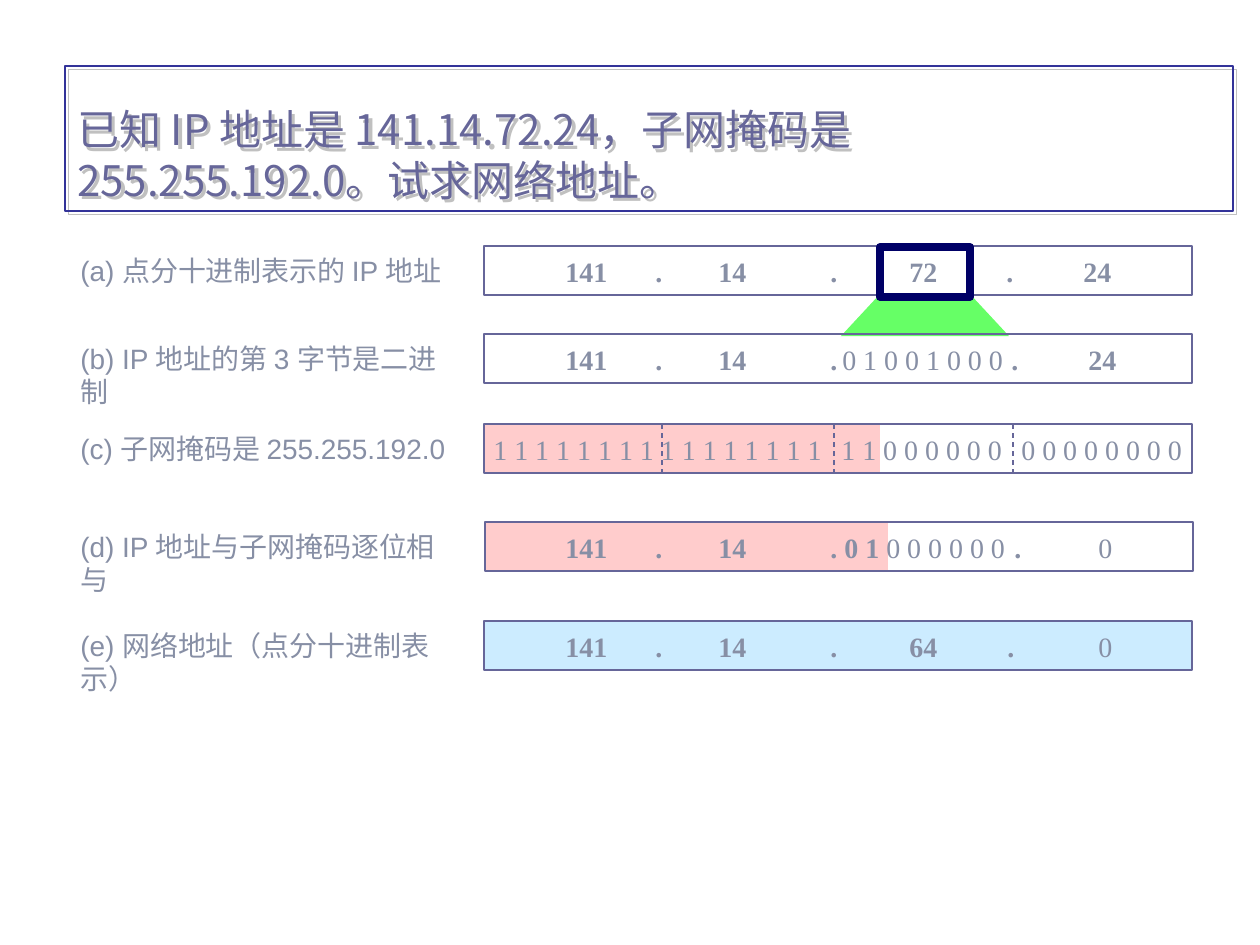
import pptx
import pptx.util
import pptx.dml.color
import pptx.enum.dml
import pptx.enum.shapes
import pptx.enum.text
import pptx.oxml
import pptx.oxml.ns

PX = 914400 // 126
COLORS = {
    "title": "666699", "frame": "333399", "shadow": "C0C0C0", "text": "878FA5",
    "row": "666699", "focus": "000066", "mask": "FFCCCC", "network": "CCECFF",
    "beam": "66FF66",
}
FONTS = {"title": "Noto Sans CJK SC", "label": "Arial", "digits": "Times New Roman"}
ANCHOR = pptx.enum.text.MSO_ANCHOR


class Deck:
    """Holds the style and the current slide and draws each kind of element."""

    def __init__(self, prs):
        self.s = prs.slides.add_slide(prs.slide_layouts[6])

    def color(self, name):
        return pptx.dml.color.RGBColor.from_string(COLORS[name])

    def element(self, parent, tag, **attrs):
        el = pptx.oxml.ns.qn(tag)
        child = parent.makeelement(el, {k: str(v) for k, v in attrs.items()})
        parent.append(child)
        return child

    def paint(self, sp, fill=None, line=None, weight=0.75):
        sp.shadow.inherit = False
        if fill:
            sp.fill.solid()
            sp.fill.fore_color.rgb = self.color(fill)
        else:
            sp.fill.background()
        if line:
            sp.line.color.rgb = self.color(line)
            sp.line.width = pptx.util.Pt(weight)
        else:
            sp.line.fill.background()
        return sp

    def rect(self, x, y, w, h, **style):
        kind = pptx.enum.shapes.MSO_SHAPE.RECTANGLE
        sp = self.s.shapes.add_shape(kind, x * PX, y * PX, w * PX, h * PX)
        return self.paint(sp, **style)

    def polygon(self, points, **style):
        fb = self.s.shapes.build_freeform(*points[0], scale=PX)
        fb.add_line_segments(points[1:], close=True)
        return self.paint(fb.convert_to_shape(), **style)

    def dash(self, x, y, h):
        kind = pptx.enum.shapes.MSO_CONNECTOR.STRAIGHT
        sp = self.s.shapes.add_connector(kind, x * PX, y * PX, x * PX, (y + h) * PX)
        sp.line.color.rgb = self.color("row")
        sp.line.width = pptx.util.Pt(0.75)
        sp.line.dash_style = pptx.enum.dml.MSO_LINE.DASH
        self.element(sp._element.spPr, "a:effectLst")

    def fill_text(self, sp, runs, font, size=16, color="text", wrap=False,
                  anchor=ANCHOR.TOP, tabs=()):
        tf = sp.text_frame
        tf.word_wrap = wrap
        tf.vertical_anchor = anchor
        p = tf.paragraphs[0]
        p.alignment = pptx.enum.text.PP_ALIGN.LEFT
        if tabs:
            stops = self.element(p._p.get_or_add_pPr(), "a:tabLst")
            for pos in tabs:
                self.element(stops, "a:tab", pos=pos * PX, algn="l")
        for text, bold in runs:
            for i, part in enumerate(text.split("\n")):
                if i:
                    p.add_line_break()
                r = p.add_run()
                r.text = part
                values = {"name": FONTS[font], "size": pptx.util.Pt(size), "bold": bold}
                for key, value in values.items():
                    setattr(r.font, key, value)
                r.font.color.rgb = self.color(color)
                self.element(r._r.get_or_add_rPr(), "a:ea", typeface=FONTS["title"])

    def text(self, x, y, w, h, runs, font, **style):
        sp = self.s.shapes.add_textbox(x * PX, y * PX, w * PX, h * PX)
        self.fill_text(sp, runs, font, **style)

    def title(self, x, y, w, h, text):
        sp = self.rect(x, y, w, h, line="frame")
        effects = sp._element.spPr.find(pptx.oxml.ns.qn("a:effectLst"))
        shadow = self.element(effects, "a:outerShdw", dist=35921, dir=2700000,
                              algn="ctr", rotWithShape=0)
        self.element(shadow, "a:srgbClr", val=COLORS["shadow"])
        self.fill_text(sp, [(text, False)], "title", size=24, color="title",
                       wrap=True, anchor=ANCHOR.BOTTOM)


prs = pptx.Presentation()
prs.slide_width = pptx.util.Inches(10)
prs.slide_height = pptx.util.Inches(7.5)
d = Deck(prs)

ROW_X, ROW_W, ROW_H = 484, 708, 49
LEFT_X, LEFT_TABS = 553, (90, 153, 265)
LEFT = "141\t.\t14\t."
Y = {"a": 246, "b": 334, "c": 424, "d": 522, "e": 621}
LABELS = {
    "a": "(a) 点分十进制表示的 IP 地址",
    "b": "(b) IP 地址的第 3 字节是二进制",
    "c": "(c) 子网掩码是 255.255.192.0",
    "d": "(d) IP 地址与子网掩码逐位相与",
    "e": "(e) 网络地址（点分十进制表示）",
}

d.title(65, 66, 1168, 145, "已知 IP 地址是 141.14.72.24，子网掩码是\n255.255.192.0。试求网络地址。")
d.polygon([(880, 294), (970, 294), (1009, 336), (841, 336)], fill="beam")
d.rect(ROW_X, Y["c"], 396, 48, fill="mask")
d.rect(ROW_X + 2, Y["d"], 402, 48, fill="mask")

for key, y in Y.items():
    d.rect(ROW_X + (key == "d"), y, ROW_W, ROW_H, line="row",
           fill="network" if key == "e" else None)
    d.text(68, y + 1, 404, 45, [(LABELS[key], False)], "label", wrap=True)
for x in (662, 834, 1013):
    d.dash(x, Y["c"], ROW_H)
d.rect(880, Y["a"] + 1, 90, 50, line="focus", weight=4.5)

DIGITS = [
    ("a", LEFT_X, 299, [(LEFT, True)], LEFT_TABS),
    ("a", 897, 230, [("72\t.\t24", True)], (97, 174)),
    ("b", LEFT_X, 299, [(LEFT, True)], LEFT_TABS),
    ("b", 830, 187, [("0 1 0 0 1 0 0 0", False)], ()),
    ("b", 999, 130, [(".\t24", True)], (77,)),
    ("c", 481, 534, [("1 " * 15 + "1\t1 1 0 0 0 0 0 0", False)], (348,)),
    ("c", 1009, 187, [("0 0 0 0 0 0 0 0", False)], ()),
    ("d", LEFT_X, 474, [(LEFT + " 0 1 ", True), ("0 0 0 0 0 0", False)], LEFT_TABS),
    ("d", 1002, 124, [(".\t", True), ("0", False)], (84,)),
    ("e", LEFT_X, 299, [(LEFT, True)], LEFT_TABS),
    ("e", 897, 229, [("64\t.\t", True), ("0", False)], (98, 189)),
]
for key, x, w, runs, tabs in DIGITS:
    d.text(x, Y[key] + 2, w, 46, runs, "digits", tabs=tabs)

prs.save("out.pptx")
